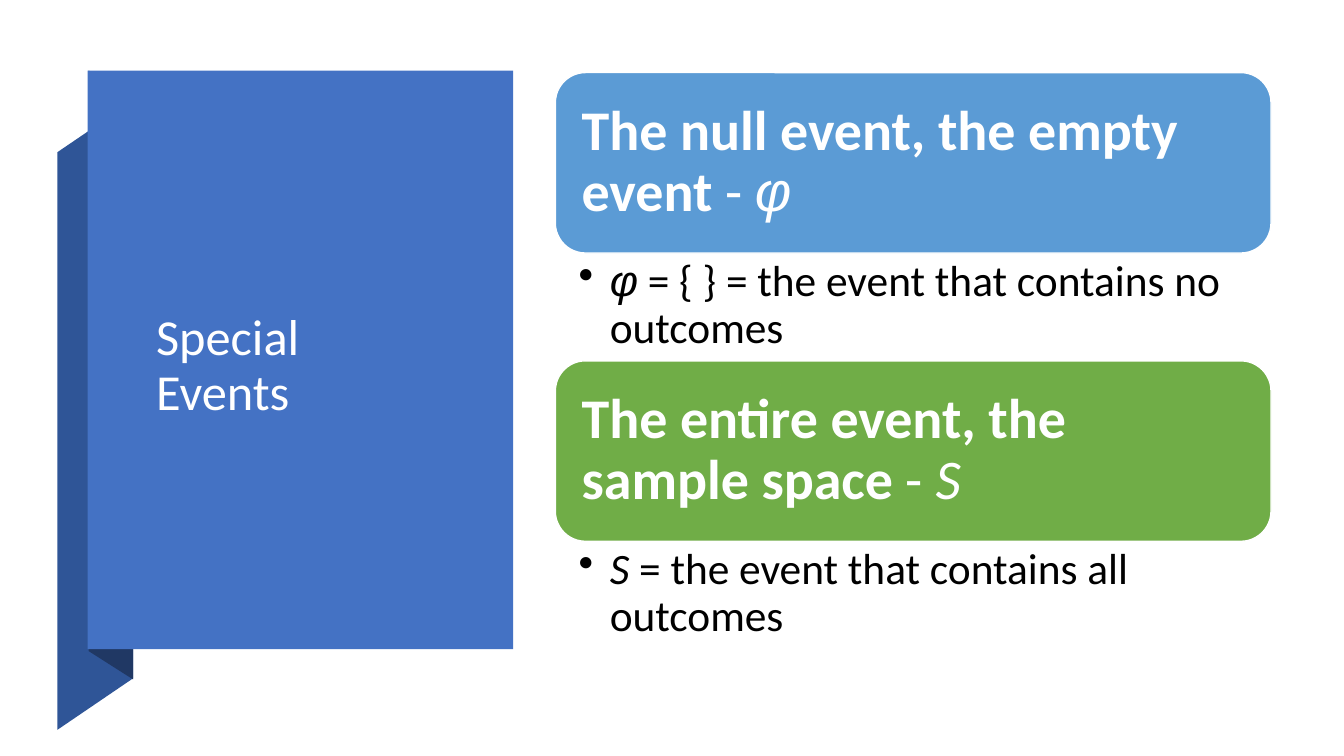
from lxml import etree
from pptx import Presentation
from pptx.dml.color import RGBColor
from pptx.enum.shapes import MSO_SHAPE
from pptx.enum.text import MSO_ANCHOR
from pptx.oxml.ns import qn
from pptx.util import Pt

RECT, ROUND = MSO_SHAPE.RECTANGLE, MSO_SHAPE.ROUNDED_RECTANGLE
TOP, MIDDLE = MSO_ANCHOR.TOP, MSO_ANCHOR.MIDDLE
PX = 9144

THEME = {
    "panel": "4472C4", "ribbon": "2F5597", "fold": "203864",
    "white": "FFFFFF", "black": "000000",
    "body_font": "Calibri", "symbol_font": "Arial",
    "title": 36, "heading": 40, "detail": 31,
}
PLAIN = {"name": THEME["body_font"], "bold": False, "italic": False}
BOLD = {**PLAIN, "bold": True}
ITALIC = {**PLAIN, "italic": True}
SYMBOL = {**ITALIC, "name": THEME["symbol_font"]}

TITLE = [("Special Events", PLAIN)]
EVENTS = [
    {"fill": "5B9BD5",
     "heading": [("The null event, the empty event ", BOLD), ("- ", PLAIN), ("φ", SYMBOL)],
     "detail": [("φ", SYMBOL), (" = { } = the event that contains no outcomes", PLAIN)]},
    {"fill": "70AD47",
     "heading": [("The entire event, the sample space ", BOLD), ("- ", PLAIN), ("S", ITALIC)],
     "detail": [("S", ITALIC), (" = the event that contains all outcomes", PLAIN)]},
]

RIBBON = [(57, 724), (132, 673), (132, 100), (57, 151)]
FOLD = [(88, 646), (132, 674), (132, 99), (88, 70)]
PANEL = (87, 70, 422, 574)
TITLE_BOX = (145, 167, 301, 394)
CARD_X, CARD_Y, CARD_W, CARD_H = 551, 72, 710, 179
DETAIL_H, PITCH, INSET = 106, 286, 9
TITLE_PAD = (10, 5, 10, 5)
HEADING_PAD = (17, 17, 17, 17)
DETAIL_PAD = (23, 6, 31, 6)
BULLET_INDENT = 31


def rgb(color):
    return RGBColor.from_string(color)


def paint(sp, fill, line=None):
    sp.shadow.inherit = False
    sp.fill.solid()
    sp.fill.fore_color.rgb = rgb(fill)
    if line:
        sp.line.color.rgb = rgb(line)
        sp.line.width = Pt(1)
    else:
        sp.line.fill.background()


def add_block(s, kind, box, fill, line=None):
    sp = s.shapes.add_shape(kind, *(v * PX for v in box))
    paint(sp, fill, line)


def add_outline(s, points, fill):
    builder = s.shapes.build_freeform(*points[0], scale=PX)
    builder.add_line_segments(points[1:], close=True)
    paint(builder.convert_to_shape(), fill)


def add_text(s, box, runs, size, color, pad, anchor=MIDDLE, bullet=False):
    tf = s.shapes.add_textbox(*(v * PX for v in box)).text_frame
    sides = ("margin_left", "margin_top", "margin_right", "margin_bottom")
    frame = {"word_wrap": True, "vertical_anchor": anchor,
             **{side: v * PX for side, v in zip(sides, pad)}}
    for key, value in frame.items():
        setattr(tf, key, value)
    p = tf.paragraphs[0]
    p.line_spacing = 0.9
    for text, style in runs:
        r = p.add_run()
        r.text = text
        for key, value in {**style, "size": Pt(size)}.items():
            setattr(r.font, key, value)
        r.font.color.rgb = rgb(color)
    if bullet:
        pPr = p._p.get_or_add_pPr()
        pPr.set("marL", str(BULLET_INDENT * PX))
        pPr.set("indent", str(-BULLET_INDENT * PX))
        etree.SubElement(pPr, qn("a:buChar")).set("char", "•")


def main():
    prs = Presentation()
    prs.slide_width, prs.slide_height = 12192000, 6858000
    s = prs.slides.add_slide(prs.slide_layouts[6])

    add_outline(s, RIBBON, THEME["ribbon"])
    add_outline(s, FOLD, THEME["fold"])
    add_block(s, RECT, PANEL, THEME["panel"])
    add_text(s, TITLE_BOX, TITLE, THEME["title"], THEME["white"], TITLE_PAD)

    for i, event in enumerate(EVENTS):
        y = CARD_Y + i * PITCH
        add_block(s, ROUND, (CARD_X, y, CARD_W, CARD_H), event["fill"], THEME["white"])
        heading_box = (CARD_X + INSET, y + INSET, CARD_W - 2 * INSET, CARD_H - 2 * INSET)
        add_text(s, heading_box, event["heading"], THEME["heading"], THEME["white"], HEADING_PAD)
        detail_box = (CARD_X, y + CARD_H, CARD_W, DETAIL_H)
        add_text(s, detail_box, event["detail"], THEME["detail"], THEME["black"],
                 DETAIL_PAD, TOP, bullet=True)

    prs.save("out.pptx")


if __name__ == "__main__":
    main()
